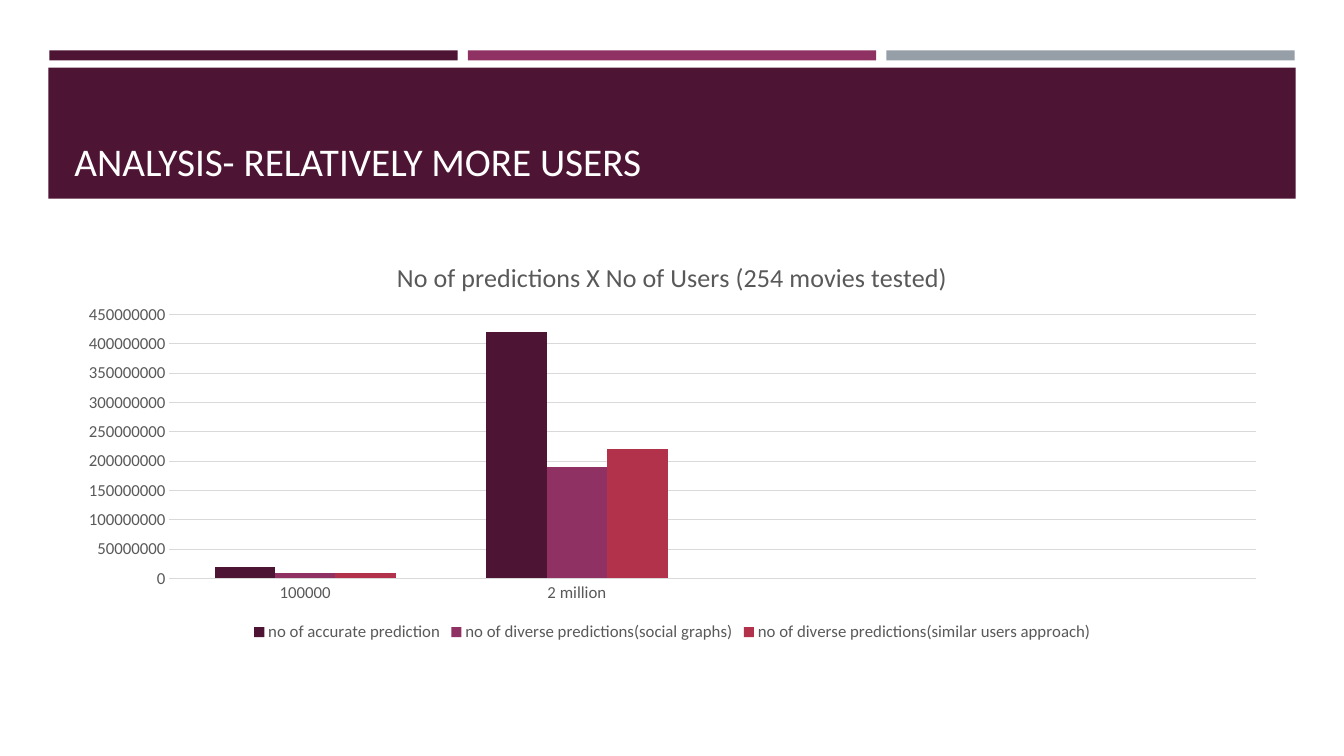
import pptx
import pptx.chart.data
import pptx.dml.color
import pptx.enum.chart
import pptx.enum.shapes
import pptx.enum.text
import pptx.oxml
import pptx.oxml.ns
import pptx.util
from pptx.util import Inches

# Content
TITLE = "ANALYSIS- RELATIVELY MORE USERS"
CHART_TITLE = "No of predictions X No of Users (254 movies tested)"
CATEGORIES = ["100000", "2 million", "", ""]
SERIES = [
    ("no of accurate prediction", [20000000, 420000000, None, None], "plum"),
    ("no of diverse predictions(social graphs)", [10000000, 190000000, None, None], "magenta"),
    ("no of diverse predictions(similar users approach)", [10000000, 220000000, None, None], "red"),
]
STRIPES = ["plum", "magenta", "gray"]
COLORS = {
    "plum": "4D1434",
    "magenta": "903163",
    "red": "B2324B",
    "gray": "969FA7",
    "grid": "D9D9D9",
    "label": "595959",
    "white": "FFFFFF",
}
FONT = "Calibri"

# Left, top, width, height in inches
CHART_BOX = (0.64, 2.39, 12.06, 4.02)
PLOT_BOX = (1.68, 3.12, 10.78, 2.62)


def rgb(name):
    return pptx.dml.color.RGBColor.from_string(COLORS[name])


def set_font(font, size, color):
    font.name = FONT
    font.size = pptx.util.Pt(size)
    font.bold = False
    font.color.rgb = rgb(color)


def set_text(tf, text, size=12, color="label"):
    p = tf.paragraphs[0]
    r = p.add_run()
    r.text = text
    set_font(r.font, size, color)


def set_line(line, color="grid"):
    line.color.rgb = rgb(color)
    line.width = pptx.util.Pt(0.75)


def add_bar(s, left, top, width, height, color):
    sp = s.shapes.add_shape(
        pptx.enum.shapes.MSO_SHAPE.RECTANGLE,
        Inches(left), Inches(top), Inches(width), Inches(height))
    sp.shadow.inherit = False
    sp.fill.solid()
    sp.fill.fore_color.rgb = rgb(color)
    sp.line.fill.background()


def place_plot(chart):
    """Fix the inner plot area, given as fractions of the chart frame."""
    left, top, width, height = CHART_BOX
    x, y, w, h = PLOT_BOX
    settings = [
        ("layoutTarget", "inner"), ("xMode", "edge"), ("yMode", "edge"),
        ("x", (x - left) / width), ("y", (y - top) / height),
        ("w", w / width), ("h", h / height),
    ]
    tags = "".join(f'<c:{tag} val="{value}"/>' for tag, value in settings)
    ns = pptx.oxml.ns.nsdecls("c")
    layout = pptx.oxml.parse_xml(
        f"<c:layout {ns}><c:manualLayout>{tags}</c:manualLayout></c:layout>")
    area = chart.element.find(".//" + pptx.oxml.ns.qn("c:plotArea"))
    for old in area.findall(pptx.oxml.ns.qn("c:layout")):
        area.remove(old)
    area.insert(0, layout)


def add_prediction_chart(s):
    data = pptx.chart.data.CategoryChartData()
    data.categories = CATEGORIES
    for name, values, _ in SERIES:
        data.add_series(name, values)
    chart = s.shapes.add_chart(
        pptx.enum.chart.XL_CHART_TYPE.COLUMN_CLUSTERED,
        *map(Inches, CHART_BOX), data).chart
    set_font(chart.font, 12, "label")
    chart.has_title = True
    set_text(chart.chart_title.text_frame, CHART_TITLE, size=18.6)
    chart.chart_title.include_in_layout = False
    place_plot(chart)

    # Columns
    plot = chart.plots[0]
    plot.gap_width = 150
    plot.overlap = 0
    plot.vary_by_categories = False
    for series, (_, _, color) in zip(plot.series, SERIES):
        series.format.fill.solid()
        series.format.fill.fore_color.rgb = rgb(color)

    # Axes
    for axis in (chart.category_axis, chart.value_axis):
        axis.major_tick_mark = pptx.enum.chart.XL_TICK_MARK.NONE
        axis.minor_tick_mark = pptx.enum.chart.XL_TICK_MARK.NONE
        set_font(axis.tick_labels.font, 12, "label")
    set_line(chart.category_axis.format.line)
    axis = chart.value_axis
    axis.format.line.fill.background()
    axis.has_major_gridlines = True
    set_line(axis.major_gridlines.format.line)
    axis.minimum_scale = 0
    axis.maximum_scale = 450000000
    axis.major_unit = 50000000

    # Legend
    chart.has_legend = True
    chart.legend.position = pptx.enum.chart.XL_LEGEND_POSITION.BOTTOM
    chart.legend.include_in_layout = False
    set_font(chart.legend.font, 12, "label")


def main():
    prs = pptx.Presentation()
    prs.slide_width = Inches(13.33)
    prs.slide_height = Inches(7.5)
    s = prs.slides.add_slide(prs.slide_layouts[6])

    # Stripes and title band
    for i, color in enumerate(STRIPES):
        add_bar(s, 0.49 + i * 4.15, 0.5, 4.05, 0.1, color)
    add_bar(s, 0.48, 0.67, 12.37, 1.3, "plum")

    # Title
    box = s.shapes.add_textbox(Inches(0.64), Inches(0.77), Inches(12.06), Inches(1.11))
    tf = box.text_frame
    tf.word_wrap = True
    tf.vertical_anchor = pptx.enum.text.MSO_ANCHOR.BOTTOM
    set_text(tf, TITLE, size=28, color="white")

    add_prediction_chart(s)
    prs.save("out.pptx")


if __name__ == "__main__":
    main()
